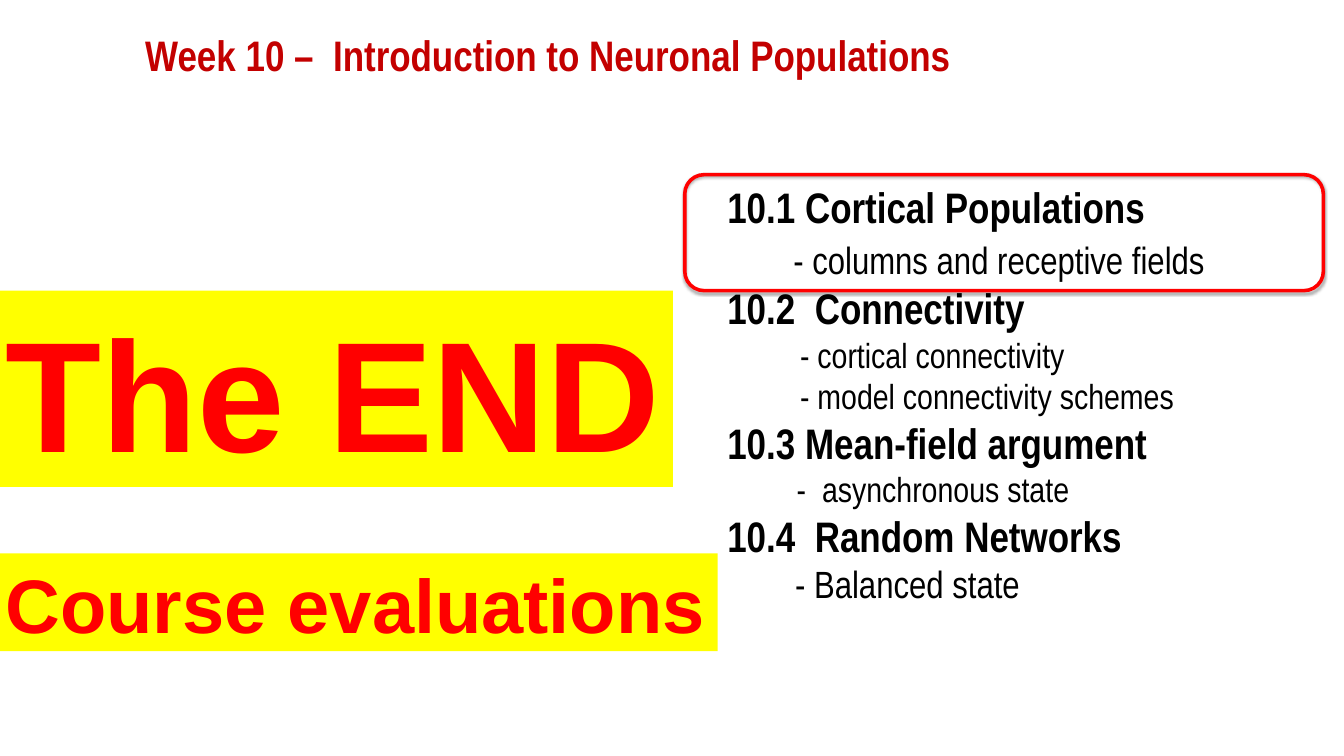
from lxml import etree
from pptx import Presentation, util as u
from pptx.dml.color import RGBColor
from pptx.enum import shapes, text
from pptx.oxml.ns import qn

BLACK = RGBColor(0x00, 0x00, 0x00)
RED = RGBColor(0xFF, 0x00, 0x00)
DARK_RED = RGBColor(0xC3, 0x00, 0x00)
YELLOW = RGBColor(0xFF, 0xFF, 0x00)

HEADING = {"name": "Arial Narrow", "size": u.Pt(54), "bold": True}
TOPIC = {"name": "Arial Narrow", "bold": False}
BANNER = {"name": "Arial", "bold": True}

OUTLINE = [
    ("10.1 Cortical Populations", [("- columns and receptive fields", 48, 4.37)]),
    ("10.2  Connectivity", [("- cortical connectivity", 44, 4.67),
                            ("- model connectivity schemes", 44, 4.67)]),
    ("10.3 Mean-field argument", [("-  asynchronous state", 44, 4.52)]),
    ("10.4  Random Networks", [("- Balanced state", 48, 4.45)]),
]


def add_box(slide, place, anchor, wrap=True):
    """Add a text box at a place given in centimetres."""
    box = slide.shapes.add_textbox(*map(u.Cm, place))
    box.text_frame.word_wrap = wrap
    box.text_frame.vertical_anchor = anchor
    return box


def write_line(paragraph, words, color, style, margin=0):
    """Write one indented line in a single format."""
    paragraph.alignment = text.PP_ALIGN.LEFT
    paragraph._p.get_or_add_pPr().set("marL", str(u.Cm(margin)))
    run = paragraph.add_run()
    run.text = words
    run.font.color.rgb = color
    for name, value in style.items():
        setattr(run.font, name, value)


def add_outline(slide):
    """List the sections of the week with their topics."""
    frame = add_box(slide, (30.81, 4.01, 28.96, 27.13),
                    text.MSO_ANCHOR.MIDDLE).text_frame
    paragraph = frame.paragraphs[0]
    for section, topics in OUTLINE:
        if section != OUTLINE[0][0]:
            paragraph = frame.add_paragraph()
        write_line(paragraph, section, BLACK, HEADING, 1.42)
        for topic, size, margin in topics:
            paragraph = frame.add_paragraph()
            write_line(paragraph, topic, BLACK, TOPIC | {"size": u.Pt(size)}, margin)
    frame.paragraphs[1].space_before = u.Pt(6)


def add_title(slide, words):
    """Write the title of the week."""
    box = add_box(slide, (5.36, 1.15, 53.75, 2.51), text.MSO_ANCHOR.TOP)
    write_line(box.text_frame.paragraphs[0], words, DARK_RED, HEADING, 0.87)


def add_highlight(slide, place):
    """Draw a rounded red outline with a soft shadow."""
    highlight = slide.shapes.add_shape(
        shapes.MSO_SHAPE.ROUNDED_RECTANGLE, *map(u.Cm, place))
    highlight.fill.background()
    highlight.line.color.rgb = RED
    highlight.line.width = u.Pt(4.5)
    highlight.shadow.inherit = False
    effects = highlight._element.spPr.find(qn("a:effectLst"))
    shadow = etree.SubElement(effects, qn("a:outerShdw"), blurRad=str(u.Pt(3.1)),
                              dist=str(u.Pt(1.8)), dir="5400000", rotWithShape="0")
    shade = etree.SubElement(shadow, qn("a:srgbClr"), val="000000")
    etree.SubElement(shade, qn("a:alpha"), val="35000")


def add_banner(slide, words, size, place):
    """Place large red words on a yellow band."""
    banner = add_box(slide, place, text.MSO_ANCHOR.BOTTOM, wrap=False)
    banner.fill.solid()
    banner.fill.fore_color.rgb = YELLOW
    write_line(banner.text_frame.paragraphs[0], words, RED,
               BANNER | {"size": u.Pt(size)})


def main():
    """Build the closing slide and save it."""
    deck = Presentation()
    deck.slide_width, deck.slide_height = u.Cm(60.02), u.Cm(33.76)
    slide = deck.slides.add_slide(deck.slide_layouts[6])
    add_outline(slide)
    add_title(slide, "Week 10 –  Introduction to Neuronal Populations")
    add_highlight(slide, (30.58, 7.8, 28.52, 5.18))
    add_banner(slide, "The END", 199, (0, 12.98, 30.05, 8.76))
    add_banner(slide, "Course evaluations", 96, (0, 24.71, 32.05, 4.37))
    deck.save("out.pptx")


if __name__ == "__main__":
    main()
